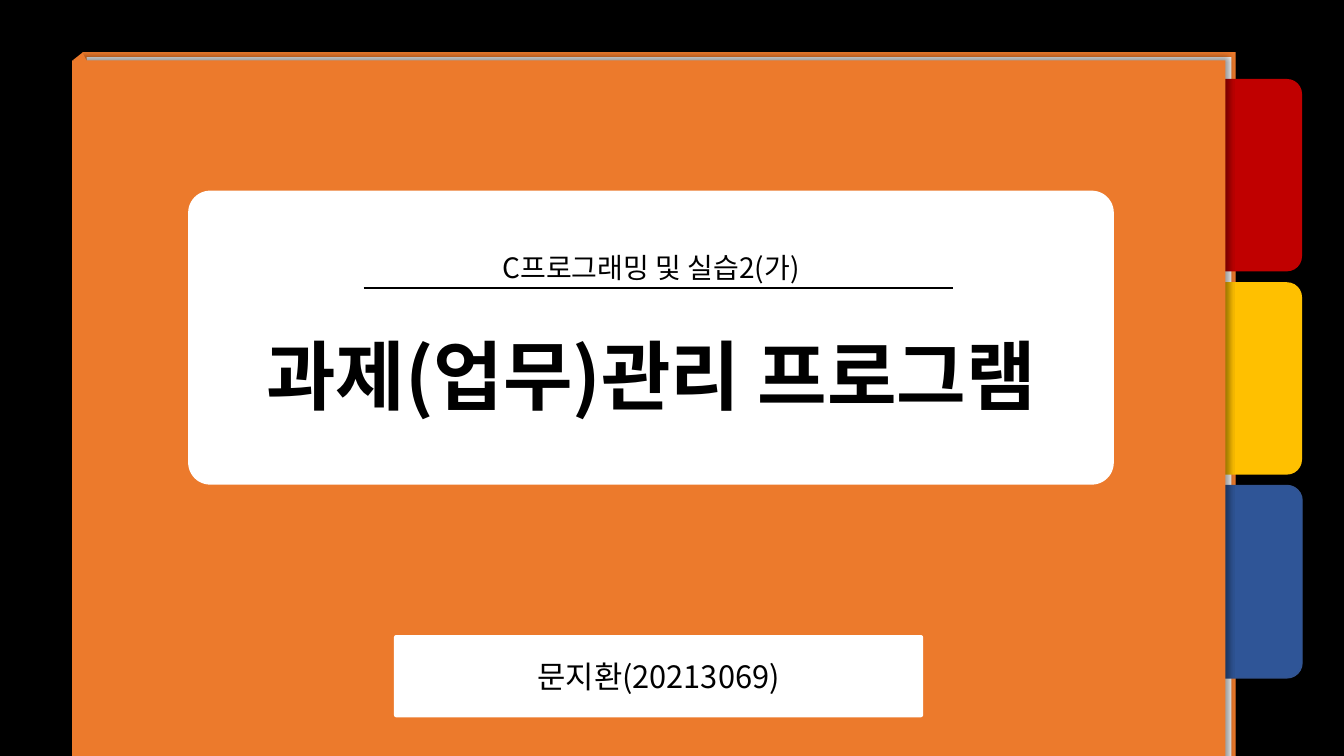
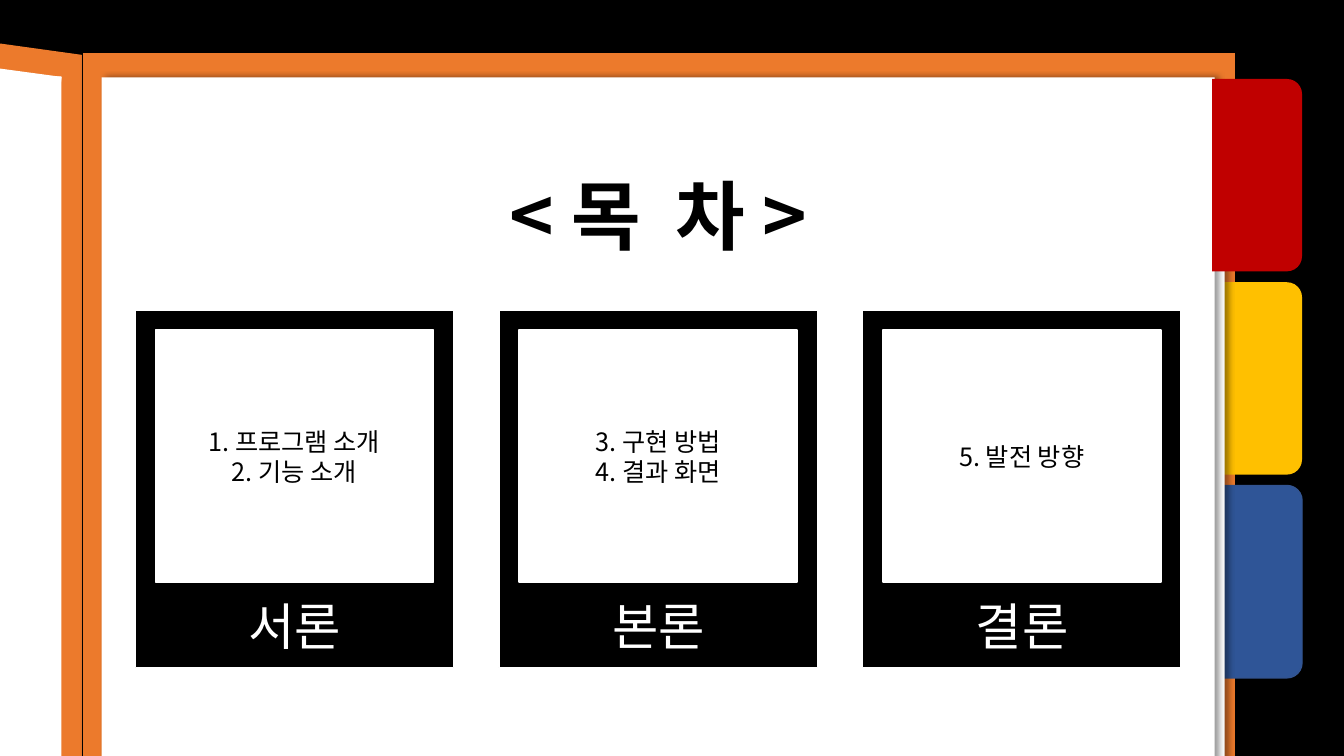
from lxml.etree import SubElement
from pptx import Presentation
from pptx.dml.color import RGBColor
from pptx.enum.shapes import MSO_CONNECTOR, MSO_SHAPE
from pptx.enum.text import MSO_ANCHOR, MSO_AUTO_SIZE, PP_ALIGN
from pptx.oxml.ns import qn
from pptx.util import Inches, Pt

COLORS = {
    "black": "000000",
    "white": "FFFFFF",
    "cover": "EC7A2C",
    "red": "C00000",
    "yellow": "FFC000",
    "blue": "2F5597",
    "blue_edge": "325491",
}
FONT = "Noto Sans CJK KR"
COLUMNS, ROWS = 160, 90

prs = Presentation()
prs.slide_width, prs.slide_height = Inches(13.333), Inches(7.5)
COL, ROW = prs.slide_width / COLUMNS, prs.slide_height / ROWS
prs.slide_master.background.fill.solid()
prs.slide_master.background.fill.fore_color.rgb = RGBColor.from_string(COLORS["black"])


def add_block(slide, box, fill, kind=MSO_SHAPE.RECTANGLE, rotation=0, edge=None, shadow=None):
    x, y, w, h = box
    block = slide.shapes.add_shape(kind, int(x * COL), int(y * ROW), int(w * COL), int(h * ROW))
    block.rotation = rotation
    block.fill.solid()
    block.fill.fore_color.rgb = RGBColor.from_string(COLORS[fill])
    if edge:
        block.line.color.rgb = RGBColor.from_string(COLORS[edge])
        block.line.width = Pt(1)
    else:
        block.line.fill.background()
    block.shadow.inherit = False
    if shadow is not None:
        effects = block.element.spPr.find(qn("a:effectLst"))
        outer = SubElement(effects, qn("a:outerShdw"), blurRad=str(Pt(4)), dist=str(Pt(3)),
                           dir=str(shadow * 60000), algn="ctr", rotWithShape="0")
        tint = SubElement(outer, qn("a:srgbClr"), val=COLORS["black"])
        SubElement(tint, qn("a:alpha"), val="40000")
    return block


def write(holder, text, size, color="black", bold=False, box=None):
    if box:
        x, y, w, h = box
        holder.left, holder.top = int(x * COL), int(y * ROW)
        holder.width, holder.height = int(w * COL), int(h * ROW)
        holder.element.getparent().append(holder.element)
    frame = holder.text_frame
    frame.text = text
    frame.word_wrap = True
    frame.auto_size = MSO_AUTO_SIZE.NONE
    frame.vertical_anchor = MSO_ANCHOR.MIDDLE
    for paragraph in frame.paragraphs:
        paragraph.alignment = PP_ALIGN.CENTER
        paragraph.line_spacing = 1.0
        paragraph.space_before = Pt(0)
        for run in paragraph.runs:
            run.font.name = FONT
            run.font.size = Pt(size)
            run.font.bold = bold
            run.font.color.rgb = RGBColor.from_string(COLORS[color])
    for latin in list(holder.element.iter(qn("a:latin"))):
        east_asian = SubElement(latin.getparent(), qn("a:ea"), typeface=FONT)
        latin.addnext(east_asian)


TAB_STEP = 24.2
TABS = {
    name: dict(box=(138.2, 15.5 + TAB_STEP * i, 22.9, 10.7), fill=name, edge=edge,
               kind=MSO_SHAPE.ROUND_2_SAME_RECTANGLE, rotation=90)
    for i, (name, edge) in enumerate([("red", None), ("yellow", None), ("blue", "blue_edge")])
}

cover = prs.slides.add_slide(prs.slide_layouts[0])
add_block(cover, (9.8, 6.2, 137.3, 84.4), "cover", shadow=0)
add_block(cover, (10.3, 6.8, 136.3, 84.4), "white")
for tab in TABS.values():
    add_block(cover, **tab)
add_block(cover, (8.6, 7.2, 137.3, 84.4), "cover", shadow=315)

title_card = add_block(cover, (22.4, 22.7, 110.2, 35), "white", MSO_SHAPE.ROUNDED_RECTANGLE)
title_card.adjustments[0] = 0.075
author = add_block(cover, (46.9, 75.6, 63, 9.8), "white", MSO_SHAPE.ROUNDED_RECTANGLE)
author.adjustments[0] = 0.028
write(author, "문지환(20213069)", 22)

rule = cover.shapes.add_connector(MSO_CONNECTOR.STRAIGHT, int(43.3 * COL), int(34.3 * ROW),
                                  int(113.4 * COL), int(34.3 * ROW))
rule.line.color.rgb = RGBColor.from_string(COLORS["black"])
rule.line.width = Pt(1.5)
SubElement(rule.element.find(qn("p:spPr")), qn("a:effectLst"))

fold = add_block(cover, (8.8, 6.8, 3.1, 1.4), "cover", MSO_SHAPE.ISOSCELES_TRIANGLE, 35.6)
fold.adjustments[0] = 0.132
write(cover.placeholders[1], "C프로그래밍 및 실습2(가)", 20, box=(22.4, 28.8, 110.2, 6))
write(cover.shapes.title, "과제(업무)관리 프로그램", 54, bold=True, box=(22.4, 37.2, 110.2, 14.6))

contents = prs.slides.add_slide(prs.slide_layouts[5])
add_block(contents, (-22.3, 5.9, 48.6, 91.8), "cover", rotation=7.9, shadow=0)
add_block(contents, (9.8, 6.2, 137.3, 87.8), "cover", edge="black", shadow=0)
for name in ("yellow", "blue"):
    add_block(contents, **TABS[name])
for x, y in ((13.3, 10.7), (12.1, 9.2)):
    add_block(contents, (x, y, 132.5, 93.5), "white", shadow=0)
add_block(contents, **TABS["red"])
add_block(contents, (-24.7, 7, 25.9, 93.5), "white", rotation=7.7)
add_block(contents, (-18.6, 9.1, 25.9, 93.5), "white")
write(contents.shapes.title, "< 목  차 >", 54, bold=True, box=(50.2, 18.4, 56.3, 14.2))

PANEL_LEFT, PANEL_STEP = 16.1, 43.3
chapters = [
    ("서론", ["1. 프로그램 소개", "2. 기능 소개"]),
    ("본론", ["3. 구현 방법", "4. 결과 화면"]),
    ("결론", ["5. 발전 방향"]),
]
for i, (heading, topics) in enumerate(chapters):
    left = PANEL_LEFT + PANEL_STEP * i
    add_block(contents, (left, 37, 37.9, 42.5), "black", edge="white")
    caption = contents.shapes.add_textbox(0, 0, 0, 0)
    write(caption, heading, 36, "white", box=(left + 2.3, 70.2, 33.4, 8.5))
    topic_list = add_block(contents, (left + 2.4, 39.3, 33.1, 30), "white", edge="white")
    write(topic_list, "\n".join(topics), 18)

prs.save("out.pptx")
